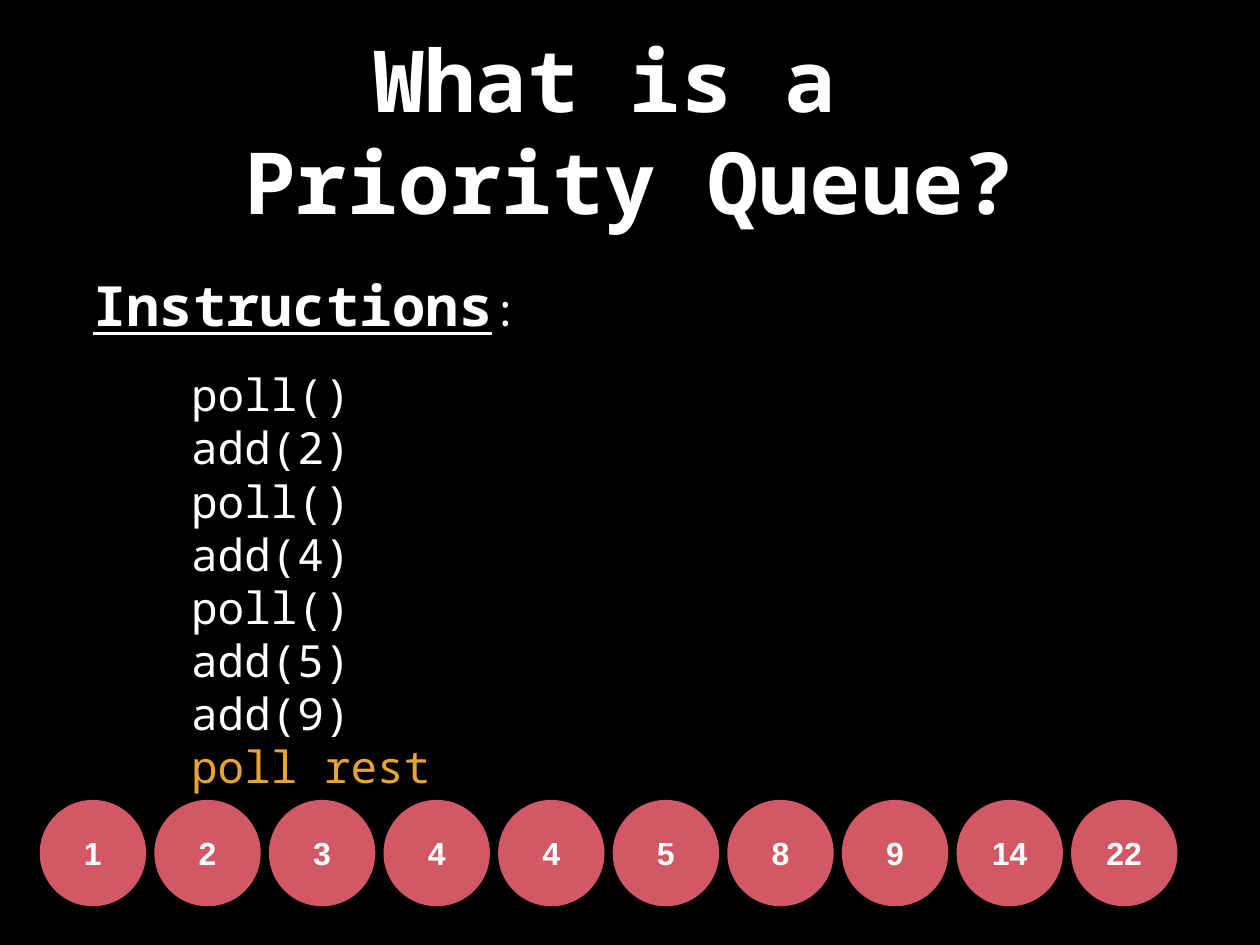
from lxml.etree import SubElement
from pptx import Presentation
from pptx.dml.color import RGBColor
from pptx.enum.shapes import MSO_SHAPE as SHAPE
from pptx.enum.text import MSO_ANCHOR as ANCHOR, MSO_AUTO_SIZE as AUTO, PP_ALIGN as ALIGN
from pptx.oxml.ns import qn
from pptx.util import Cm, Pt

COLORS = {"back": "000000", "text": "FFFFFF", "last": "E8A432", "node": "D35866"}
MONO = "Noto Sans Mono"
TITLE = {"name": MONO, "size": Pt(69.6), "bold": True}
HEADING = {"name": MONO, "size": Pt(45), "bold": True, "underline": True}
CODE = {"name": MONO, "size": Pt(36), "bold": False, "underline": False}
NODE = {"name": "Arial", "size": Pt(26), "bold": True}

CALLS = ["poll()", "add(2)", "poll()", "add(4)", "poll()", "add(5)", "add(9)"]
VALUES = [1, 2, 3, 4, 4, 5, 8, 9, 14, 22]


def color(key):
    return RGBColor.from_string(COLORS[key])


def place(sp, left, top, width, height):
    sp.left, sp.top, sp.width, sp.height = Cm(left), Cm(top), Cm(width), Cm(height)


def set_frame(sp, wrap=True, auto_size=AUTO.NONE):
    tf = sp.text_frame
    frame = {"word_wrap": wrap, "auto_size": auto_size, "vertical_anchor": ANCHOR.MIDDLE}
    for side in ("left", "top", "right", "bottom"):
        frame[f"margin_{side}"] = Cm(0.15)
    for name, value in frame.items():
        setattr(tf, name, value)
    return tf


def add_run(p, text, style, key="text"):
    r = p.add_run()
    r.text = text
    for name, value in style.items():
        setattr(r.font, name, value)
    r.font.color.rgb = color(key)


def add_lines(tf, lines, style, align):
    for i, (text, key) in enumerate(lines):
        p = tf.add_paragraph() if i else tf.paragraphs[0]
        p.alignment, p.space_before = align, Pt(0)
        add_run(p, text, style, key)


def remove_bullets(tf):
    for p in tf.paragraphs:
        pPr = p._p.get_or_add_pPr()
        pPr.set("marL", "0")
        pPr.set("indent", "0")
        SubElement(pPr, qn("a:buNone"))


def add_heading(s):
    sp = s.shapes.add_textbox(Cm(2.5), Cm(7.65), Cm(12.55), Cm(2.15))
    tf = set_frame(sp, wrap=False, auto_size=AUTO.SHAPE_TO_FIT_TEXT)
    p = tf.paragraphs[0]
    p.alignment = ALIGN.CENTER
    add_run(p, "Instructions", HEADING)
    add_run(p, ":", CODE)


def add_node(s, left, value):
    sp = s.shapes.add_shape(SHAPE.OVAL, Cm(left), Cm(22.94), Cm(3.05), Cm(3.05))
    sp.shadow.inherit = False
    sp.fill.solid()
    sp.fill.fore_color.rgb = color("node")
    sp.line.fill.background()
    add_lines(set_frame(sp), [(str(value), "text")], NODE, ALIGN.CENTER)


def main():
    prs = Presentation()
    prs.slide_width, prs.slide_height = Cm(36.12), Cm(27.1)
    s = prs.slides.add_slide(prs.slide_layouts[1])
    s.background.fill.solid()
    s.background.fill.fore_color.rgb = color("back")

    # Title
    title = s.shapes.title
    place(title, 2.64, 0.71, 30.84, 6)
    title_lines = [("What is a ", "text"), ("Priority Queue?", "text")]
    add_lines(set_frame(title), title_lines, TITLE, ALIGN.CENTER)

    # Instructions
    add_heading(s)
    body = s.placeholders[1]
    place(body, 5.33, 9.98, 7.98, 13.31)
    tf = set_frame(body, wrap=False, auto_size=AUTO.SHAPE_TO_FIT_TEXT)
    calls = [(call, "text") for call in CALLS] + [("poll rest", "last")]
    add_lines(tf, calls, CODE, ALIGN.LEFT)
    remove_bullets(tf)

    # Polled values in order
    for i, value in enumerate(VALUES):
        add_node(s, 1.14 + 3.285 * i, value)

    prs.save("out.pptx")


if __name__ == "__main__":
    main()
